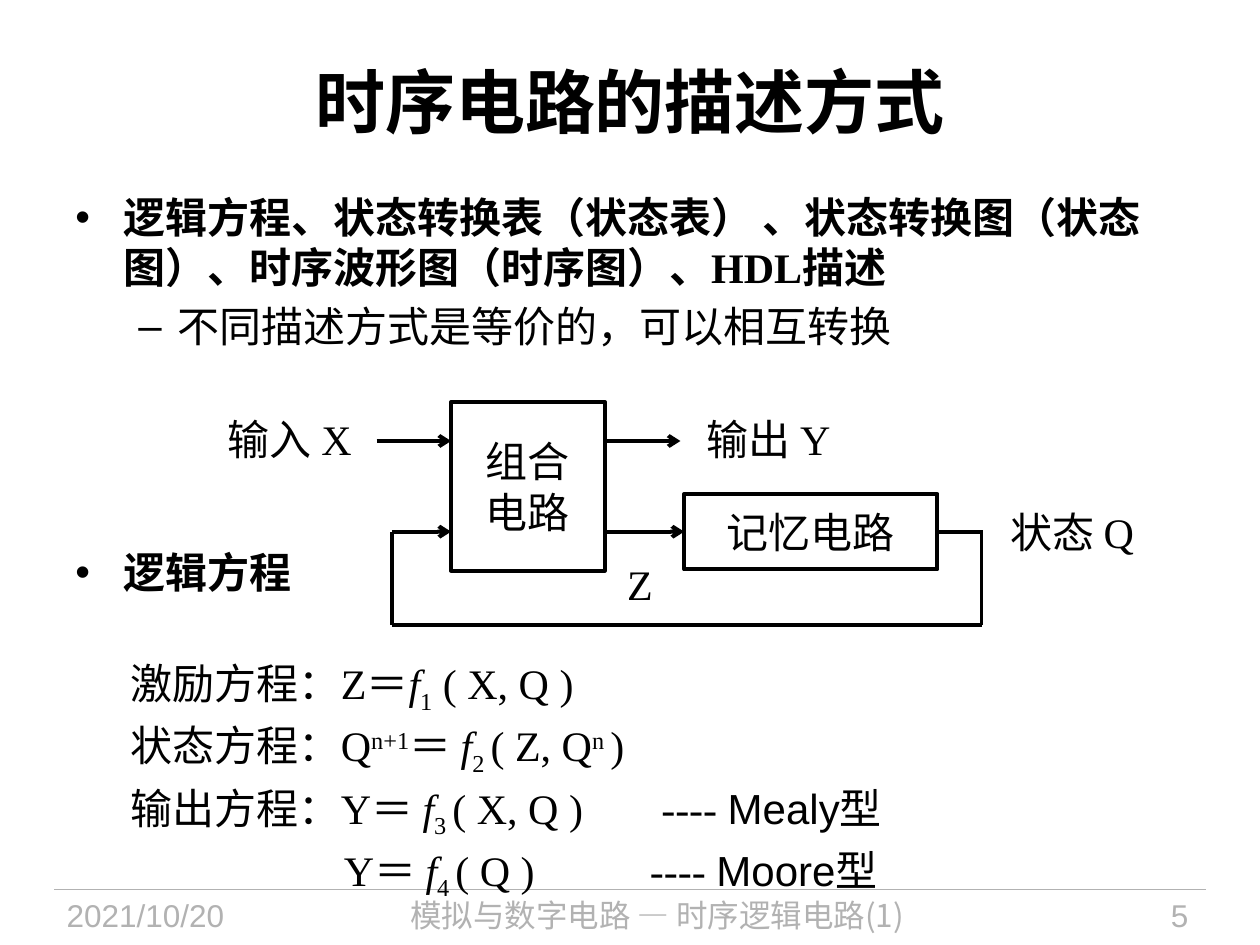
import pptx
import pptx.util
import pptx.dml.color
import pptx.enum.shapes
import pptx.enum.text
import pptx.oxml.ns
import lxml.etree

Inches, Pt = pptx.util.Inches, pptx.util.Pt
BLACK = pptx.dml.color.RGBColor(0x00, 0x00, 0x00)
GREY = pptx.dml.color.RGBColor(0xB2, 0xB2, 0xB2)
LEFT = pptx.enum.text.PP_ALIGN.LEFT
CENTER = pptx.enum.text.PP_ALIGN.CENTER
RIGHT = pptx.enum.text.PP_ALIGN.RIGHT
TOP = pptx.enum.text.MSO_ANCHOR.TOP
MIDDLE = pptx.enum.text.MSO_ANCHOR.MIDDLE
TIMES, ARIAL, NOTO = "Times New Roman", "Arial", "Noto Sans CJK SC"
qn = pptx.oxml.ns.qn


def write(sp, paragraphs, name=TIMES, size=24, color=BLACK, bold=False,
          align=LEFT, anchor=TOP, inset=None, wrap=True):
    tf = sp.text_frame
    for key, value in {"word_wrap": wrap, "vertical_anchor": anchor}.items():
        setattr(tf, key, value)
    if inset is not None:
        for side in ("left", "top", "right", "bottom"):
            setattr(tf, "margin_" + side, Inches(inset))
    for i, runs in enumerate(paragraphs):
        p = tf.paragraphs[0] if i == 0 else tf.add_paragraph()
        p.alignment = align
        for text, fmt in runs:
            r = p.add_run()
            r.text = text
            values = {"name": name, "size": Pt(size), "bold": bold, **fmt}
            base = values.pop("base", 0)
            for key, value in values.items():
                setattr(r.font, key, value)
            r.font.color.rgb = color
            if base:
                r.font._element.set("baseline", str(base * 1000))
    return tf


def connect(x1, y1, x2, y2, arrow=False, color=BLACK, width=2.25):
    c = s.shapes.add_connector(pptx.enum.shapes.MSO_CONNECTOR.STRAIGHT,
                               Inches(x1), Inches(y1), Inches(x2), Inches(y2))
    c.line.color.rgb = color
    c.line.width = Pt(width)
    if arrow:
        lxml.etree.SubElement(c.line._get_or_add_ln(), qn("a:tailEnd"), type="arrow")
    lxml.etree.SubElement(c._element.spPr, qn("a:effectLst"))
    return c


prs = pptx.Presentation()
prs.slide_width, prs.slide_height = Inches(10), Inches(7.5)
s = prs.slides.add_slide(prs.slide_layouts[6])

connect(0.43, 7.06, 9.57, 7.06, color=GREY, width=0.75)

for text, x, y, w, h, fmt in [
    ("2021/10/20", 0.43, 7.06, 1.88, 0.44, {"name": ARIAL, "size": 18, "color": GREY}),
    ("模拟与数字电路 — 时序逻辑电路(1)", 2.4, 7.06, 5.63, 0.44,
     {"name": NOTO, "size": 18, "color": GREY, "align": CENTER}),
    ("5", 8.2, 7.06, 1.33, 0.44,
     {"name": ARIAL, "size": 18, "color": GREY, "align": RIGHT}),
    ("时序电路的描述方式", 0.5, 0.17, 9, 1.25,
     {"size": 40, "bold": True, "align": CENTER, "anchor": MIDDLE}),
    ("输入 X", 1.65, 3.08, 1.3, 0.8,
     {"align": CENTER, "anchor": MIDDLE, "inset": 0, "wrap": False}),
    ("输出 Y", 5.47, 3.08, 1.26, 0.8,
     {"align": CENTER, "anchor": MIDDLE, "inset": 0, "wrap": False}),
    ("状态 Q", 7.88, 3.82, 1.26, 0.8,
     {"align": CENTER, "anchor": MIDDLE, "inset": 0, "wrap": False}),
    ("Z", 4.88, 4.38, 0.4, 0.5, {"wrap": False}),
]:
    sp = s.shapes.add_textbox(Inches(x), Inches(y), Inches(w), Inches(h))
    write(sp, [[(text, {})]], **fmt)

for y, h, items in [
    (1.47, 1.4, [
        ("逻辑方程、状态转换表（状态表） 、状态转换图（状态图）、时序波形图（时序图）、HDL描述",
         "•", 0.38, 0.38, True),
        ("不同描述方式是等价的，可以相互转换", "–", 0.81, 0.31, False),
    ]),
    (4.29, 0.5, [("逻辑方程", "•", 0.38, 0.38, True)]),
]:
    sp = s.shapes.add_textbox(Inches(0.5), Inches(y), Inches(9 if h > 1 else 2.4), Inches(h))
    tf = write(sp, [[(text, {"bold": bold})] for text, _, _, _, bold in items])
    for p, (_, bullet, margin, hang, _) in zip(tf.paragraphs, items):
        pPr = p._p.get_or_add_pPr()
        pPr.set("marL", str(Inches(margin)))
        pPr.set("indent", str(-Inches(hang)))
        if p is not tf.paragraphs[0] and bullet == "–":
            p.space_before = Pt(5)
        lxml.etree.SubElement(pPr, qn("a:buFont"), typeface=ARIAL)
        lxml.etree.SubElement(pPr, qn("a:buChar"), char=bullet)

blocks = []
for lines, x, y, w, h in [
    (["记忆电路"], 5.43, 3.92, 2.01, 0.6),
    (["组合", "电路"], 3.58, 3.19, 1.22, 1.34),
]:
    sp = s.shapes.add_shape(pptx.enum.shapes.MSO_SHAPE.RECTANGLE,
                            Inches(x), Inches(y), Inches(w), Inches(h))
    sp.shadow.inherit = False
    sp.fill.background()
    sp.line.color.rgb = BLACK
    sp.line.width = Pt(2.25)
    write(sp, [[(line, {})] for line in lines], name=ARIAL, align=CENTER,
          anchor=MIDDLE, inset=0, wrap=False)
    blocks.append(sp)
memory, logic = blocks

connect(4.8, 4.22, 5.43, 4.22, arrow=True).end_connect(memory, 1)
connect(7.79, 4.22, 7.44, 4.22).end_connect(memory, 3)
for x1, y1, x2, y2, arrow in [
    (2.99, 3.5, 3.58, 3.5, True),
    (4.8, 3.5, 5.4, 3.5, True),
    (7.79, 4.21, 7.79, 4.96, False),
    (3.11, 4.96, 7.79, 4.96, False),
    (3.11, 4.22, 3.11, 4.96, False),
    (3.11, 4.22, 3.58, 4.22, True),
]:
    connect(x1, y1, x2, y2, arrow)

ITALIC, SUB, SUP, SANS = {"italic": True}, {"base": -25}, {"base": 30}, {"name": ARIAL}
equations = [
    ([("激励方程：", {"name": NOTO}), ("Z＝", {}), ("f", ITALIC), ("1", SUB),
      (" ( X, Q )", {})], []),
    ([("状态方程：", SANS), ("Q", {}), ("n+1", SUP), ("＝ ", {}), ("f", ITALIC),
      ("2 ", SUB), ("( Z, Q", {}), ("n ", SUP), (")", {})], []),
    ([("输出方程：", SANS), ("Y＝ ", {}), ("f", ITALIC), ("3 ", SUB),
      ("( X, Q )\t---- ", {}), ("Mealy型", SANS)], [4.21]),
    ([("\tY＝ ", {}), ("f", ITALIC), ("4 ", SUB), ("( Q )\t---- ", {}),
      ("Moore型", SANS)], [1.69, 4.12]),
]
sp = s.shapes.add_textbox(Inches(0.94), Inches(5.17), Inches(7.91), Inches(1.93))
tf = write(sp, [runs for runs, _ in equations])
for i, (p, (_, stops)) in enumerate(zip(tf.paragraphs, equations)):
    if i:
        p.space_before = Pt(2.8)
    if stops:
        tabs = lxml.etree.SubElement(p._p.get_or_add_pPr(), qn("a:tabLst"))
        for stop in stops:
            lxml.etree.SubElement(tabs, qn("a:tab"), pos=str(Inches(stop)), algn="l")

prs.save("out.pptx")
